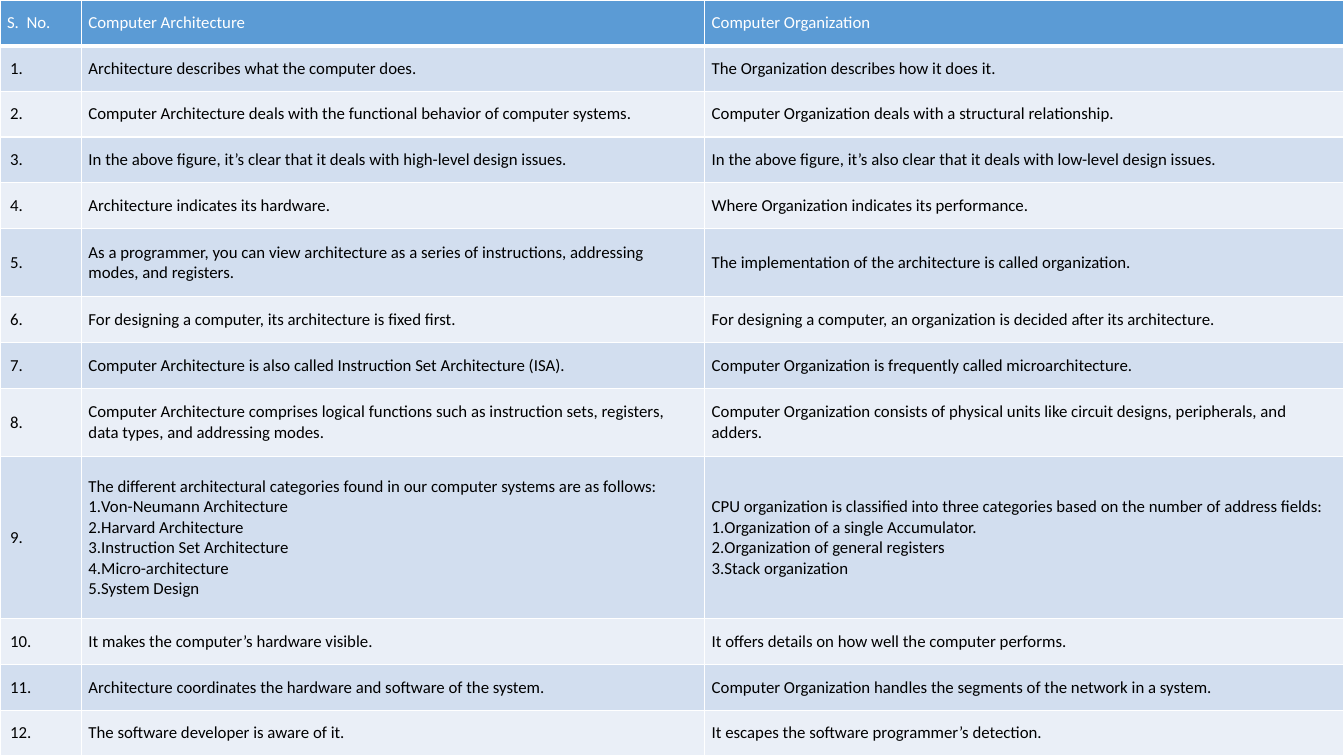
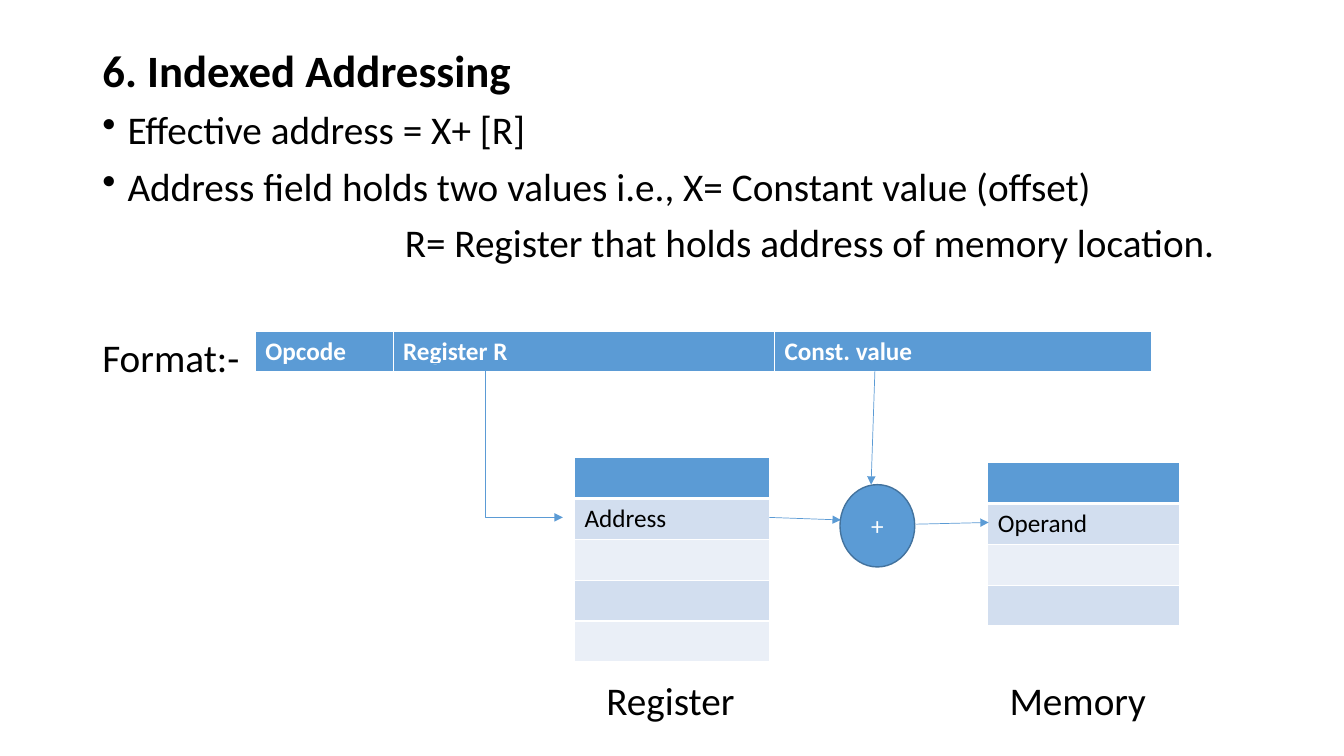
from pptx import Presentation
from pptx.dml.color import RGBColor
from pptx.enum.shapes import MSO_CONNECTOR as Link, MSO_SHAPE as Kind
from pptx.enum.text import MSO_ANCHOR as Anchor, PP_ALIGN as Align
from pptx.oxml.ns import qn
from pptx.util import Inches, Pt
from lxml.etree import SubElement as sub

COLS, ROWS = 80, 45
BLUE, DARK, BLACK, WHITE = "5B9BD5", "43739E", "000000", "FFFFFF"
BANDS = ("EAEFF7", "D2DEEF")
FONT = "Calibri"

HEADS = ("S.  No.", "Computer Architecture", "Computer Organization")
PAIRS = (
    ("Architecture describes what the computer does.",
     "The Organization describes how it does it."),
    ("Computer Architecture deals with the functional behavior of computer systems.",
     "Computer Organization deals with a structural relationship."),
    ("In the above figure, it’s clear that it deals with high-level design issues.",
     "In the above figure, it’s also clear that it deals with low-level design issues."),
    ("Architecture indicates its hardware.",
     "Where Organization indicates its performance."),
    ("As a programmer, you can view architecture as a series of instructions, "
     "addressing modes, and registers.",
     "The implementation of the architecture is called organization."),
    ("For designing a computer, its architecture is fixed first.",
     "For designing a computer, an organization is decided after its architecture."),
    ("Computer Architecture is also called Instruction Set Architecture (ISA).",
     "Computer Organization is frequently called microarchitecture."),
    ("Computer Architecture comprises logical functions such as instruction sets, "
     "registers, data types, and addressing modes.",
     "Computer Organization consists of physical units like circuit designs, "
     "peripherals, and adders."),
    (("The different architectural categories found in our computer systems "
      "are as follows:",
      "Von-Neumann Architecture", "Harvard Architecture",
      "Instruction Set Architecture", "Micro-architecture", "System Design"),
     ("CPU organization is classified into three categories based on the number "
      "of address fields:",
      "Organization of a single Accumulator.", "Organization of general registers",
      "Stack organization")),
    ("It makes the computer’s hardware visible.",
     "It offers details on how well the computer performs."),
    ("Architecture coordinates the hardware and software of the system.",
     "Computer Organization handles the segments of the network in a system."),
    ("The software developer is aware of it.",
     "It escapes the software programmer’s detection."),
)


def color(code):
    return RGBColor.from_string(code)


class Deck:
    """Holds the style and the current slide; lengths are grid units."""

    def __init__(self):
        self.prs = Presentation()
        self.prs.slide_width, self.prs.slide_height = Inches(13.33), Inches(7.5)
        self.slide = None

    def page(self):
        self.slide = self.prs.slides.add_slide(self.prs.slide_layouts[6])

    def across(self, cols):
        return round(self.prs.slide_width * cols / COLS)

    def down(self, rows):
        return round(self.prs.slide_height * rows / ROWS)

    def area(self, x, y, w, h):
        return self.across(x), self.down(y), self.across(w), self.down(h)

    def style(self, para, size, code, bold=False):
        font = para.font
        font.name, font.size, font.bold = FONT, Pt(size), bold
        font.color.rgb = color(code)

    def mark(self, para, tag, left=0, hang=0, **attrs):
        """Give a paragraph a bullet or number, or only an indent if tag is None."""
        props = para._p.get_or_add_pPr()
        props.set("marL", str(Inches(left)))
        props.set("indent", str(-Inches(hang)))
        if tag:
            sub(props, qn(tag), **attrs)

    def text(self, x, y, w, h, lines, size=28, bold=False, anchor=Anchor.TOP):
        """Write (text, kind) lines, where kind is plain, bullet or inset."""
        frame = self.slide.shapes.add_textbox(*self.area(x, y, w, h)).text_frame
        frame.word_wrap, frame.vertical_anchor = True, anchor
        for i, (words, kind) in enumerate(lines):
            para = frame.add_paragraph() if i else frame.paragraphs[0]
            para.text, para.line_spacing = words, 0.9
            if i:
                para.space_before = Pt(10)
            if kind == "bullet":
                self.mark(para, "a:buChar", 0.25, 0.25, char="•")
            elif kind == "inset":
                self.mark(para, None, 3)
            self.style(para, size, BLACK, bold)

    def border(self, cell, row):
        """Draw white cell edges, thick under the head row."""
        props = cell._tc.get_or_add_tcPr()
        for side in "LRTB":
            thick = (side, row) in (("B", 0), ("T", 1))
            line = sub(props, qn("a:ln" + side), w=str(Pt(3 if thick else 1)))
            sub(sub(line, qn("a:solidFill")), qn("a:srgbClr"), val=WHITE)

    def table(self, x, y, widths, heights, rows, size=18, bold=False,
              anchor=Anchor.TOP, inset=None):
        """Build a banded table; a tuple in a cell is a lead and a numbered list."""
        box = self.area(x, y, sum(widths), sum(heights))
        grid = self.slide.shapes.add_table(len(rows), len(widths), *box).table
        grid.first_row = grid.horz_banding = False
        for col, w in zip(grid.columns, widths):
            col.width = self.across(w)
        for row, h in zip(grid.rows, heights):
            row.height = self.down(h)
        for r, row in enumerate(rows):
            for c, words in enumerate(row):
                cell = grid.cell(r, c)
                self.border(cell, r)
                cell.fill.solid()
                cell.fill.fore_color.rgb = color(BANDS[r % 2] if r else BLUE)
                cell.vertical_anchor = anchor
                if inset and (c or not r):
                    cell.margin_left = cell.margin_right = Inches(inset)
                lines = (words,) if isinstance(words, str) else words
                cell.text = "\n".join(lines)
                for i, para in enumerate(cell.text_frame.paragraphs):
                    if i:
                        self.mark(para, "a:buAutoNum", type="arabicPeriod")
                    self.style(para, size, BLACK if r else WHITE, bold)

    def arrow(self, x1, y1, x2, y2, kind=Link.STRAIGHT):
        link = self.slide.shapes.add_connector(
            kind, self.across(x1), self.down(y1), self.across(x2), self.down(y2))
        link.line.color.rgb, link.line.width = color(BLUE), Pt(0.5)
        sub(link.line._get_or_add_ln(), qn("a:tailEnd"), type="triangle")
        sub(link._element.spPr, qn("a:effectLst"))

    def disc(self, x, y, w, h, sign):
        shape = self.slide.shapes.add_shape(Kind.OVAL, *self.area(x, y, w, h))
        shape.shadow.inherit = False
        shape.fill.solid()
        shape.fill.fore_color.rgb = color(BLUE)
        shape.line.color.rgb, shape.line.width = color(DARK), Pt(1)
        frame = shape.text_frame
        frame.text, frame.vertical_anchor = sign, Anchor.MIDDLE
        frame.paragraphs[0].alignment = Align.CENTER
        self.style(frame.paragraphs[0], 18, WHITE)


def compare(deck):
    deck.page()
    rows = [HEADS] + [(f"{n}.", *pair) for n, pair in enumerate(PAIRS, 1)]
    tall = {5: 3, 8: 3, 9: 7.1}
    parts = [tall.get(r, 2) for r in range(len(rows))]
    heights = [ROWS * part / sum(parts) for part in parts]
    deck.table(0, 0, (4.85, 37.1, 38.05), heights, rows,
               size=12, anchor=Anchor.MIDDLE, inset=0.07)


def indexed(deck):
    deck.page()
    deck.text(5.5, 2.4, 69, 3.9, [("6. Indexed Addressing", "plain")],
              size=32, bold=True, anchor=Anchor.MIDDLE)
    deck.text(5.5, 6.3, 69, 10.8, [
        ("Effective address = X+ [R]", "bullet"),
        ("Address field holds two values i.e., X= Constant value (offset)", "bullet"),
        ("R= Register that holds address of memory location.", "inset")])
    for x, y, label in ((5.5, 19.85, "Format:-"), (35.5, 40.25, "Register"),
                        (59.5, 40.25, "Memory")):
        deck.text(x, y, 12, 3.2, [(label, "plain")])

    high = 2.43
    deck.table(15.2, 19.75, (8.2, 22.7, 22.45), [high],
               [("Opcode", "Register R", "Const. value")], bold=True)
    deck.arrow(24.25, 21.65, 33.5, 30.8, Link.ELBOW)
    for x, y, w, count, label in ((34.2, 27.25, 11.6, 5, "Address"),
                                  (58.8, 27.55, 11.4, 4, "Operand")):
        cells = [("",), (label,)] + [("",)] * (count - 2)
        deck.table(x, y, (w,), [high] * count, cells)
    for ends in ((52.1, 21.4, 51.85, 28.85), (45.8, 30.8, 50.05, 30.95),
                 (54.55, 31.2, 58.85, 31.1)):
        deck.arrow(*ends)
    deck.disc(50, 28.85, 4.45, 4.9, "+")


def main():
    deck = Deck()
    compare(deck)
    indexed(deck)
    deck.prs.save("out.pptx")


if __name__ == "__main__":
    main()
